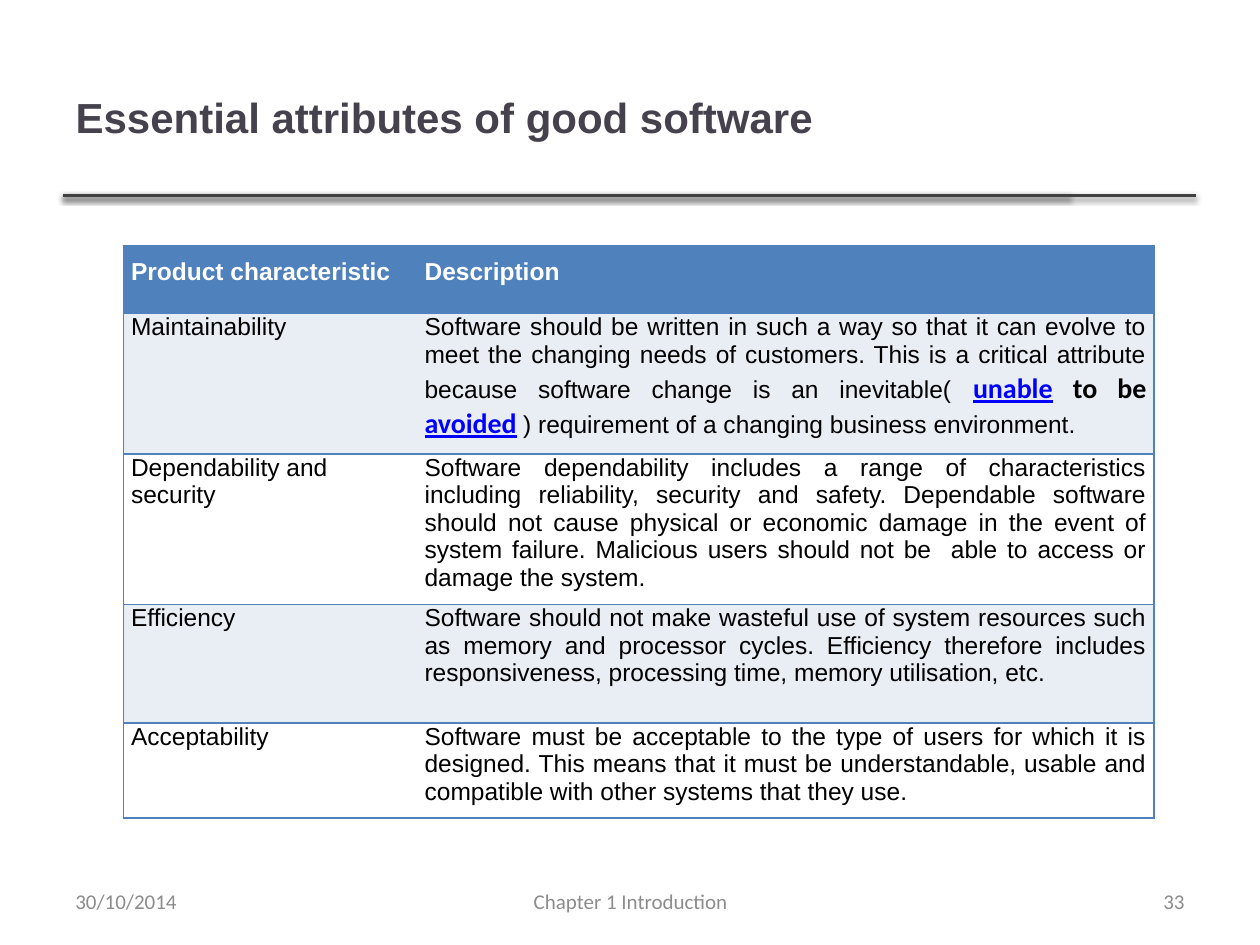
from dataclasses import dataclass

from lxml import etree
from pptx import Presentation
from pptx.dml.color import RGBColor
from pptx.enum.shapes import MSO_CONNECTOR
from pptx.enum.text import MSO_ANCHOR, MSO_AUTO_SIZE, PP_ALIGN
from pptx.oxml import parse_xml
from pptx.oxml.ns import nsdecls, qn
from pptx.util import Inches, Pt

STRAIGHT = MSO_CONNECTOR.STRAIGHT
MIDDLE = MSO_ANCHOR.MIDDLE
NO_AUTOFIT = MSO_AUTO_SIZE.NONE
LEFT, CENTER, RIGHT, JUSTIFY = (
    PP_ALIGN.LEFT, PP_ALIGN.CENTER, PP_ALIGN.RIGHT, PP_ALIGN.JUSTIFY)
TITLE_ONLY = 5


@dataclass(frozen=True)
class Theme:
    heading_font: str = "Arial"
    body_font: str = "Calibri"
    title_color: str = "46424D"
    rule_color: str = "404040"
    accent: str = "4F81BD"
    band: str = "E9EDF4"
    white: str = "FFFFFF"
    black: str = "000000"
    link: str = "0000FF"
    footer_color: str = "8C8C8C"
    title_size: int = 24
    table_size: int = 14
    gloss_size: int = 16
    gap_size: int = 18
    footer_size: int = 12


THEME = Theme()
GLOSS = [
    (" ", THEME.gap_size, THEME.black),
    ("unable", THEME.gloss_size, THEME.link),
    (" to be ", THEME.gloss_size, THEME.black),
    ("avoided", THEME.gloss_size, THEME.link),
    (" ", THEME.gloss_size, THEME.black),
]
HEADER = ("Product characteristic", ["Description"])
ATTRIBUTES = [
    ("Maintainability", [
        "Software should be written in such a way so that it can evolve to meet "
        "the changing needs of customers. This is a critical attribute because "
        "software change is an inevitable(",
        *GLOSS,
        ") requirement of a changing business environment."]),
    ("Dependability and security", [
        "Software dependability includes a range of characteristics including "
        "reliability, security and safety. Dependable software should not cause "
        "physical or economic damage in the event of system failure. Malicious "
        "users should not be  able to access or damage the system."]),
    ("Efficiency", [
        "Software should not make wasteful use of system resources such as memory "
        "and processor cycles. Efficiency therefore includes responsiveness, "
        "processing time, memory utilisation, etc."]),
    ("Acceptability", [
        "Software must be acceptable to the type of users for which it is "
        "designed. This means that it must be understandable, usable and "
        "compatible with other systems that they use."]),
]
COLUMN_WIDTHS = [2.33, 5.85]
ROW_HEIGHTS = [0.54, 0.94, 1.14, 0.94, 0.74]
FOOTERS = [
    ("30/10/2014", 0.5, 2.33, LEFT),
    ("Chapter 1 Introduction", 3.42, 3.17, CENTER),
    ("33", 7.17, 2.33, RIGHT),
]


class SlideBuilder:
    def __init__(self, prs, theme):
        self.theme = theme
        self.s = prs.slides.add_slide(prs.slide_layouts[TITLE_ONLY])

    def set_font(self, font, name, size, color, bold=False):
        font.name = name
        font.size = Pt(size)
        font.bold = bold
        font.color.rgb = RGBColor.from_string(color)

    def place(self, sp, x, y, w, h):
        sp.left, sp.top, sp.width, sp.height = map(Inches, (x, y, w, h))

    def title(self, text, x, y, w, h):
        t = self.theme
        sp = self.s.shapes.title
        self.place(sp, x, y, w, h)
        tf = sp.text_frame
        tf.text = text
        tf.auto_size = NO_AUTOFIT
        tf.vertical_anchor = MIDDLE
        p = tf.paragraphs[0]
        p.alignment = LEFT
        self.set_font(p.font, t.heading_font, t.title_size, t.title_color, True)

    def rule(self, x1, x2, y):
        cx = self.s.shapes.add_connector(
            STRAIGHT, Inches(x1), Inches(y), Inches(x2), Inches(y))
        cx.line.width = Pt(2)
        cx.line.color.rgb = RGBColor.from_string(self.theme.rule_color)
        cx.element.spPr.append(parse_xml(
            f'<a:effectLst {nsdecls("a")}>'
            f'<a:outerShdw blurRad="{Pt(3.1)}" dist="{Pt(1.6)}" dir="5400000" '
            f'rotWithShape="0"><a:srgbClr val="{self.theme.black}">'
            '<a:alpha val="38000"/></a:srgbClr></a:outerShdw></a:effectLst>'))

    def borders(self, cell, sides):
        tcPr = cell._tc.get_or_add_tcPr()
        for side in "LRTB":
            ln = etree.SubElement(tcPr, qn(f"a:ln{side}"), w=str(Pt(1)))
            if side in sides:
                fill = etree.SubElement(ln, qn("a:solidFill"))
                etree.SubElement(fill, qn("a:srgbClr"), val=self.theme.accent)
            else:
                etree.SubElement(ln, qn("a:noFill"))

    def cell(self, cell, parts, fill, color, sides, align, top=0, bold=False):
        t = self.theme
        cell.margin_left = cell.margin_right = Inches(0.06)
        cell.margin_top = Inches(top)
        cell.margin_bottom = Inches(0.1)
        self.borders(cell, sides)
        cell.fill.solid()
        cell.fill.fore_color.rgb = RGBColor.from_string(fill)
        p = cell.text_frame.paragraphs[0]
        p.alignment = align
        self.set_font(p.font, t.heading_font, t.table_size, color, bold)
        for part in parts:
            r = p.add_run()
            if isinstance(part, str):
                r.text = part
                self.set_font(r.font, t.heading_font, t.table_size, color, bold)
            else:
                r.text, size, run_color = part
                self.set_font(r.font, t.body_font, size, run_color, True)
                r.font.underline = run_color == t.link

    def table(self, header, rows, x, y, widths, heights):
        t = self.theme
        tbl = self.s.shapes.add_table(
            len(heights), len(widths), Inches(x), Inches(y),
            Inches(sum(widths)), Inches(sum(heights))).table
        for column, width in zip(tbl.columns, widths):
            column.width = Inches(width)
        for row, height in zip(tbl.rows, heights):
            row.height = Inches(height)
        for i, (name, description) in enumerate([header, *rows]):
            if i == 0:
                style = dict(fill=t.accent, color=t.white, top=0.1, bold=True)
            else:
                style = dict(fill=t.band if i % 2 else t.white, color=t.black)
            name_align = LEFT if " and " in name else JUSTIFY
            self.cell(tbl.cell(i, 0), [name], sides="LTB", align=name_align, **style)
            self.cell(tbl.cell(i, 1), description, sides="RTB", align=JUSTIFY, **style)

    def footer(self, text, x, w, align):
        t = self.theme
        sp = self.s.shapes.add_textbox(
            Inches(x), Inches(6.95), Inches(w), Inches(0.4))
        tf = sp.text_frame
        tf.word_wrap = True
        tf.vertical_anchor = MIDDLE
        tf.text = text
        p = tf.paragraphs[0]
        p.alignment = align
        self.set_font(p.font, t.body_font, t.footer_size, t.footer_color)


def main():
    prs = Presentation()
    prs.slide_width, prs.slide_height = Inches(10), Inches(7.5)
    slide = SlideBuilder(prs, THEME)
    for right in (8.49, 9.49):
        slide.rule(0.5, right, 1.55)
    slide.title("Essential attributes of good software", 0.5, 0.3, 7.98, 1.25)
    slide.table(HEADER, ATTRIBUTES, 0.98, 1.95, COLUMN_WIDTHS, ROW_HEIGHTS)
    for footer in FOOTERS:
        slide.footer(*footer)
    prs.save("out.pptx")


if __name__ == "__main__":
    main()
